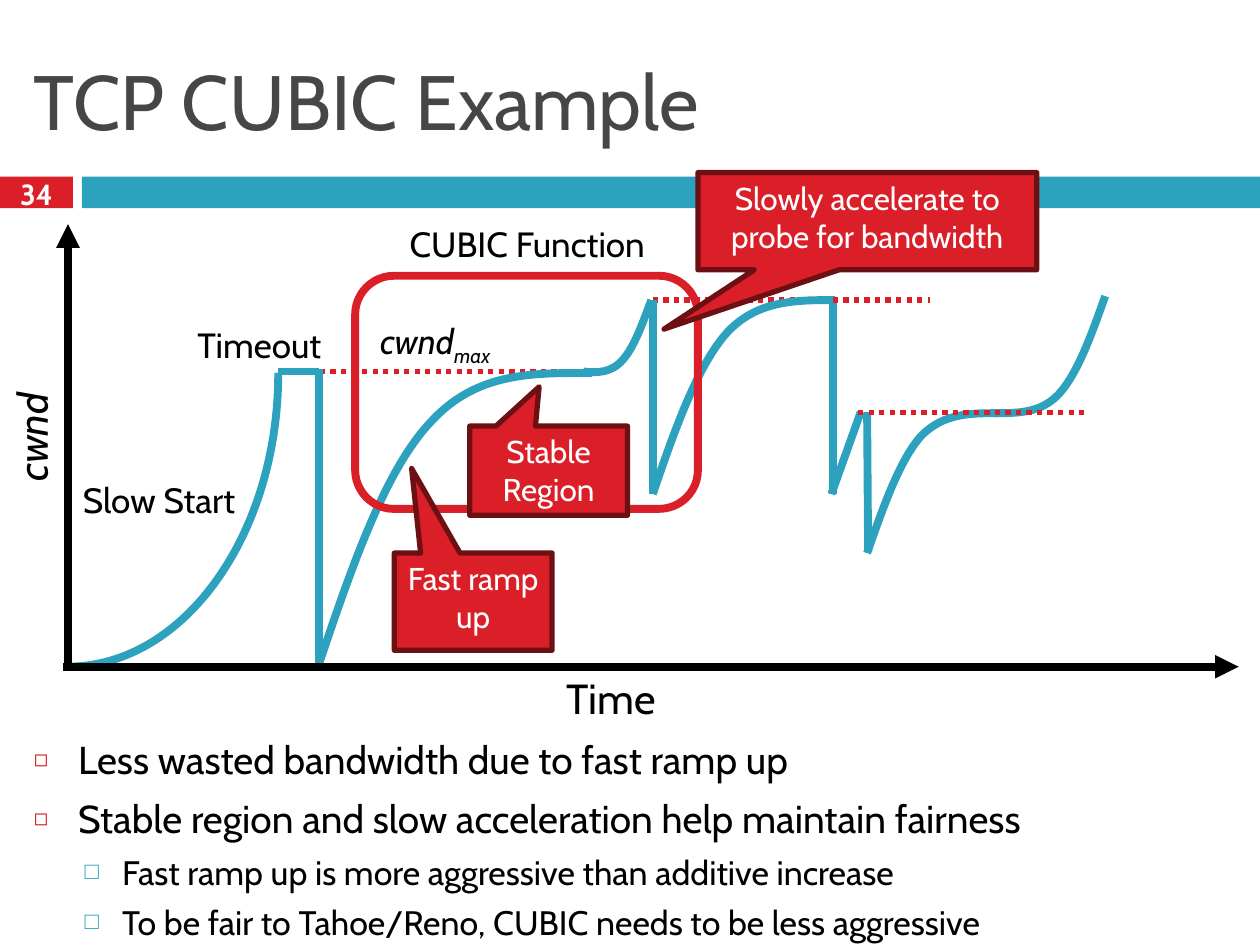
from dataclasses import dataclass

from lxml import etree
from pptx import Presentation
from pptx import util as u
from pptx.dml.color import RGBColor
from pptx.enum import dml, shapes, text
from pptx.oxml.ns import qn


@dataclass(frozen=True)
class Theme:
    font: str = "Cabin"
    red: str = "DA1F28"
    dark_red: str = "6D1014"
    blue: str = "2DA2BF"
    grey: str = "464646"
    black: str = "000000"
    white: str = "FFFFFF"
    title: float = 44
    axis: float = 24
    label: float = 20
    callout: float = 18
    number: float = 16.6
    body: tuple = (22.2, 19.4)
    thick: float = 4.5
    thin: float = 3


THEME = Theme()
LEFT, CENTER = text.PP_ALIGN.LEFT, text.PP_ALIGN.CENTER
TOP, MIDDLE = text.MSO_ANCHOR.TOP, text.MSO_ANCHOR.MIDDLE

# Per list level: bullet, its colour, its size %, indent, hanging, space before
LEVELS = [("\u25fb", THEME.red, 60, 0.89, 0.89, 7),
          ("\u25a1", THEME.blue, 70, 1.78, 0.76, 5.5)]


def color(value):
    return RGBColor.from_string(value)


def place(shape, left, top, width, height):
    shape.left, shape.top = u.Cm(left), u.Cm(top)
    shape.width, shape.height = u.Cm(width), u.Cm(height)


def style_para(para, size, ink, align=LEFT, bold=False, italic=False):
    para.alignment = align
    for span in para.runs:
        font = span.font
        font.name, font.size = THEME.font, u.Pt(size)
        font.bold, font.italic = bold, italic
        font.color.rgb = color(ink)


def style_line(line, ink, width):
    line.color.rgb = color(ink)
    line.width = u.Pt(width)


def add_block(page, kind, box, fill=None, outline=None, width=0):
    shape = page.shapes.add_shape(kind, *map(u.Cm, box))
    shape.shadow.inherit = False
    if fill:
        shape.fill.solid()
        shape.fill.fore_color.rgb = color(fill)
    else:
        shape.fill.background()
    if outline:
        style_line(shape.line, outline, width)
    else:
        shape.line.fill.background()
    return shape


def add_label(page, words, box, size, ink=THEME.black, align=LEFT,
              anchor=TOP, **style):
    label = page.shapes.add_textbox(*map(u.Cm, box))
    frame = label.text_frame
    frame.word_wrap = False
    frame.vertical_anchor = anchor
    frame.text = words
    style_para(frame.paragraphs[0], size, ink, align, **style)
    return label


def add_line(page, start, end, ink=THEME.blue, width=THEME.thick,
             dotted=False, arrow=False):
    line = page.shapes.add_connector(shapes.MSO_CONNECTOR.STRAIGHT,
                                     *map(u.Cm, start + end))
    style_line(line.line, ink, width)
    if dotted:
        line.line.dash_style = dml.MSO_LINE.ROUND_DOT
    if arrow:
        etree.SubElement(line.line._get_or_add_ln(), qn("a:tailEnd"), type="triangle")
    etree.SubElement(line._element.spPr, qn("a:effectLst"))


def add_dotted(page, left, right, height):
    add_line(page, (left, height), (right, height), THEME.red, THEME.thin, dotted=True)


def add_curve(page, start, *points):
    """Draw cubic segments; every three points are two handles and an end."""
    builder = page.shapes.build_freeform(*map(u.Cm, start))
    builder.add_line_segments([tuple(map(u.Cm, point)) for point in points], close=False)
    curve = builder.convert_to_shape()
    curve.shadow.inherit = False
    curve.fill.background()
    style_line(curve.line, THEME.blue, THEME.thick)
    outline = next(curve._element.iter(qn("a:moveTo"))).getparent()
    steps = outline.findall(qn("a:lnTo"))
    for first in range(0, len(steps), 3):
        cubic = etree.SubElement(outline, qn("a:cubicBezTo"))
        for step in steps[first:first + 3]:
            cubic.append(step[0])
            outline.remove(step)


def add_callout(page, lines, box, tip):
    callout = add_block(page, shapes.MSO_SHAPE.RECTANGULAR_CALLOUT, box,
                        THEME.red, THEME.dark_red, THEME.thin)
    callout.adjustments[0], callout.adjustments[1] = tip
    frame = callout.text_frame
    frame.word_wrap = True
    frame.vertical_anchor = TOP
    frame.text = lines
    for para in frame.paragraphs:
        style_para(para, THEME.callout, THEME.white, CENTER)


def set_bullet(para, level):
    mark, ink, percent, indent, hanging, before = LEVELS[level]
    para.level = level
    para.space_before = u.Pt(before)
    props = para._p.get_or_add_pPr()
    props.set("marL", str(u.Cm(indent)))
    props.set("indent", str(-u.Cm(hanging)))
    tint = etree.SubElement(props, qn("a:buClr"))
    etree.SubElement(tint, qn("a:srgbClr"), val=ink)
    etree.SubElement(props, qn("a:buSzPct"), val=str(percent * 1000))
    etree.SubElement(props, qn("a:buChar"), char=mark)


def fill_placeholders(page, heading, items):
    title, body = page.shapes.title, page.placeholders[1]
    place(title, 0.43, 0.64, 24.56, 2.74)
    place(body, 0.43, 14.71, 24.56, 4.34)
    for holder in (title, body):
        holder.text_frame.auto_size = text.MSO_AUTO_SIZE.NONE
    title.text_frame.text = heading
    title.text_frame.vertical_anchor = MIDDLE
    style_para(title.text_frame.paragraphs[0], THEME.title, THEME.grey)
    body.text_frame.text = "\n".join(words for _, words in items)
    for para, (level, _) in zip(body.text_frame.paragraphs, items):
        set_bullet(para, level)
        style_para(para, THEME.body[level], THEME.black)


def add_header(page):
    for left, width, fill in ((0, 1.47, THEME.red), (1.65, 23.75, THEME.blue)):
        add_block(page, shapes.MSO_SHAPE.RECTANGLE, (left, 3.56, width, 0.64), fill)
    add_label(page, "34", (0, 3.48, 1.47, 0.84), THEME.number, THEME.white,
              CENTER, MIDDLE, bold=True)


def add_labels(page):
    add_label(page, "Time", (11.18, 13.44, 2.39, 1.3), THEME.axis)
    axis = add_label(page, "cwnd", (-0.61, 8.05, 2.51, 1.3), THEME.axis, italic=True)
    axis.rotation = 270
    add_label(page, "Timeout", (3.73, 6.4, 3.07, 1.12), THEME.label)
    add_label(page, "Slow Start", (1.42, 9.53, 3.76, 1.12), THEME.label)
    add_label(page, "CUBIC Function", (7.01, 4.37, 7.24, 1.12), THEME.label, align=CENTER)
    peak = add_label(page, "cwnd", (7.24, 6.32, 3.07, 1.12), THEME.label)
    para = peak.text_frame.paragraphs[0]
    subscript = para.add_run()
    subscript.text = "max"
    style_para(para, THEME.label, THEME.black, CENTER, italic=True)
    subscript.font._element.set("baseline", "-25000")


def add_graph(page):
    # Earlier window limits, behind the curves
    add_dotted(page, 6.45, 12.37, 7.49)
    add_dotted(page, 13.16, 16.23, 6.05)

    # Window size over time
    add_curve(page, (5.61, 7.52), (5.61, 10.77), (3.71, 13.44), (1.37, 13.44))
    add_curve(page, (6.43, 13.39), (7.09, 11.43), (7.77, 9.45), (8.71, 8.48),
              (9.63, 7.49), (10.77, 7.52), (11.94, 7.52))
    add_curve(page, (13.13, 6.05), (12.95, 6.53), (12.78, 7.01), (12.55, 7.26),
              (12.32, 7.52), (12.04, 7.52), (11.76, 7.49))
    add_curve(page, (13.16, 9.96), (13.61, 8.64), (14.07, 7.34), (14.68, 6.68),
              (15.29, 6.05), (16.05, 6.05), (16.84, 6.05))
    add_curve(page, (17.48, 11.15), (17.81, 10.21), (18.14, 9.27), (18.57, 8.79),
              (19.02, 8.33), (19.56, 8.33), (20.12, 8.33))
    add_curve(page, (22.28, 5.97), (22, 6.76), (21.72, 7.54), (21.34, 7.95),
              (20.98, 8.33), (20.52, 8.33), (20.04, 8.33))
    for start, end in (((5.61, 7.49), (6.43, 7.49)), ((6.43, 7.44), (6.43, 13.36)),
                       ((13.16, 6.05), (13.16, 9.96)), ((16.79, 6.05), (16.79, 9.96)),
                       ((16.76, 9.96), (17.35, 8.31)), ((17.48, 8.31), (17.5, 11.13))):
        add_line(page, start, end)

    # Axes
    for start, end in (((1.37, 13.44), (1.37, 4.52)), ((1.27, 13.44), (24.97, 13.44))):
        add_line(page, start, end, THEME.black, arrow=True)

    # Later window limits, in front of the curves
    add_dotted(page, 16.79, 18.75, 6.05)
    add_dotted(page, 17.3, 21.87, 8.31)


def main():
    deck = Presentation()
    deck.slide_width, deck.slide_height = u.Cm(25.4), u.Cm(19.05)
    page = deck.slides.add_slide(deck.slide_layouts[1])
    add_header(page)
    fill_placeholders(page, "TCP CUBIC Example", [
        (0, "Less wasted bandwidth due to fast ramp up"),
        (0, "Stable region and slow acceleration help maintain fairness"),
        (1, "Fast ramp up is more aggressive than additive increase"),
        (1, "To be fair to Tahoe/Reno, CUBIC needs to be less aggressive")])
    add_graph(page)
    add_labels(page)
    # Highlighted region and its callouts
    add_block(page, shapes.MSO_SHAPE.ROUNDED_RECTANGLE, (7.16, 5.56, 6.91, 4.7),
              outline=THEME.red, width=THEME.thick)
    add_callout(page, "Fast ramp up", (7.95, 11.15, 3.18, 1.96), (-0.39, -1.37))
    add_callout(page, "Stable\nRegion", (9.47, 8.59, 3.18, 1.8), (-0.06, -0.94))
    add_callout(page, "Slowly accelerate to probe for bandwidth",
                (14.07, 3.48, 6.83, 1.96), (-0.6, 1.11))
    deck.save("out.pptx")


main()
